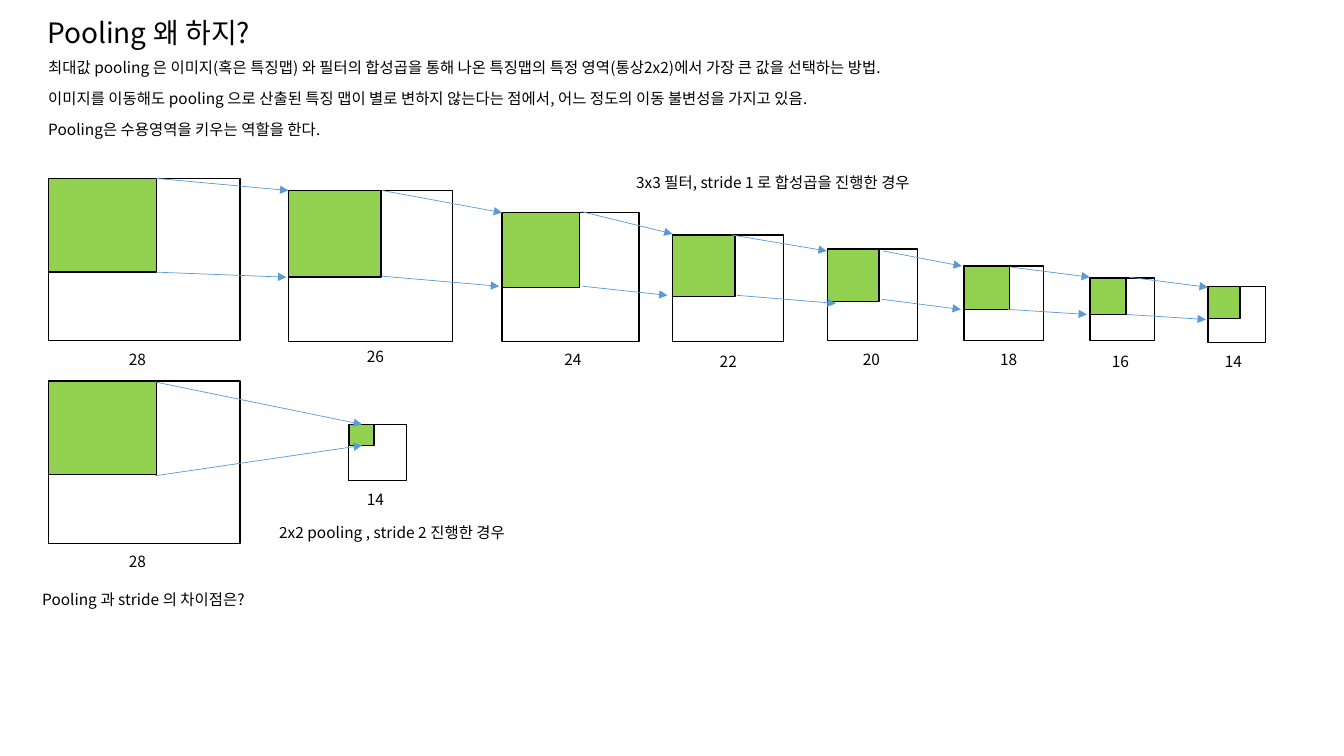
"""Build the slide that compares stacked convolutions with pooling."""
from dataclasses import dataclass
from lxml.etree import SubElement
from pptx import Presentation
from pptx.dml.color import RGBColor
from pptx.enum.shapes import MSO_CONNECTOR as CONN, MSO_SHAPE as SHAPE
from pptx.enum.text import MSO_ANCHOR as ANCHOR
from pptx.oxml.ns import qn
from pptx.util import Inches, Pt

TITLE = "Pooling 왜 하지?"
BODY = [
    "최대값 pooling 은 이미지(혹은 특징맵) 와 필터의 합성곱을 통해 나온 특징맵의 특정 영역(통상2x2)에서 가장 큰 값을 선택하는 방법.",
    "이미지를 이동해도 pooling 으로 산출된 특징 맵이 별로 변하지 않는다는 점에서, 어느 정도의 이동 불변성을 가지고 있음.",
    "Pooling은 수용영역을 키우는 역할을 한다.",
]
CONV_NOTE = "3x3 필터, stride 1 로 합성곱을 진행한 경우"
POOL_NOTE = "2x2 pooling , stride 2 진행한 경우"
QUESTION = "Pooling 과 stride 의 차이점은?"

# (label, corner, map size, region size, label position)
MAPS = [
    ("28", (0.48, 1.77), (1.9, 1.61), (1.07, 0.93), (1.18, 3.44)),
    ("26", (2.86, 1.89), (1.63, 1.5), (0.92, 0.86), (3.54, 3.41)),
    ("24", (4.98, 2.11), (1.36, 1.28), (0.77, 0.74), (5.5, 3.44)),
    ("22", (6.67, 2.33), (1.1, 1.06), (0.62, 0.61), (7.04, 3.46)),
    ("20", (8.21, 2.47), (0.89, 0.91), (0.51, 0.52), (8.46, 3.44)),
    ("18", (9.56, 2.64), (0.79, 0.74), (0.45, 0.43), (9.82, 3.44)),
    ("16", (10.81, 2.76), (0.64, 0.62), (0.36, 0.36), (10.93, 3.46)),
    ("14", (11.98, 2.84), (0.57, 0.56), (0.32, 0.32), (12.05, 3.46)),
    ("28", (0.48, 3.78), (1.9, 1.61), (1.07, 0.93), (1.18, 5.45)),
    ("14", (3.46, 4.21), (0.57, 0.56), (0.25, 0.21), (3.54, 4.83)),
]
ARROWS = [
    (1.55, 1.77, 2.86, 1.89), (1.55, 2.7, 2.84, 2.75),
    (3.79, 1.89, 4.98, 2.11), (3.79, 2.74, 4.95, 2.84),
    (5.77, 2.1, 6.67, 2.32), (5.78, 2.84, 6.62, 2.93),
    (7.25, 2.33, 8.2, 2.49), (7.31, 2.93, 8.29, 3.01),
    (8.76, 2.49, 9.54, 2.64), (8.75, 2.97, 9.53, 3.07),
    (10.03, 2.65, 10.81, 2.75), (10, 3.07, 10.78, 3.12),
    (11.2, 2.75, 11.98, 2.85), (11.18, 3.12, 11.96, 3.17),
    (1.54, 3.79, 3.59, 4.21), (1.54, 4.72, 3.59, 4.42),
]


@dataclass(frozen=True)
class Theme:
    """Colours, type sizes and line widths."""
    font: str = "Noto Sans CJK KR"
    ink: RGBColor = RGBColor(0x00, 0x00, 0x00)
    region: RGBColor = RGBColor(0x92, 0xD0, 0x50)
    arrow: RGBColor = RGBColor(0x5B, 0x9B, 0xD5)
    title: int = 20
    text: int = 11
    outline: float = 1
    arrow_line: float = 0.5


T = Theme()


def add_text(s, lines, x, y, w, h=0.29, size=T.text, before=10, anchor=ANCHOR.TOP):
    tf = s.shapes.add_textbox(*map(Inches, (x, y, w, h))).text_frame
    tf.word_wrap = True
    tf.vertical_anchor = anchor
    for i, line in enumerate(lines):
        p = tf.add_paragraph() if i else tf.paragraphs[0]
        p.line_spacing = 0.9
        p.space_before = Pt(before)
        r = p.add_run()
        r.text = line
        r.font.name = T.font
        r.font.size = Pt(size)
        r.font.color.rgb = T.ink
        SubElement(r.font._element, qn("a:ea"), typeface=T.font)


def add_box(s, corner, size, fill=None):
    sp = s.shapes.add_shape(SHAPE.RECTANGLE, *map(Inches, corner + size))
    sp.shadow.inherit = False
    if fill is None:
        sp.fill.background()
    else:
        sp.fill.solid()
        sp.fill.fore_color.rgb = fill
    sp.line.color.rgb = T.ink
    sp.line.width = Pt(T.outline)


def add_arrow(s, ends):
    c = s.shapes.add_connector(CONN.STRAIGHT, *map(Inches, ends))
    c.line.color.rgb = T.arrow
    c.line.width = Pt(T.arrow_line)
    SubElement(c.line._get_or_add_ln(), qn("a:tailEnd"), type="triangle")
    SubElement(c._element.spPr, qn("a:effectLst"))


def main():
    prs = Presentation()
    prs.slide_width, prs.slide_height = Inches(13.33), Inches(7.5)
    s = prs.slides.add_slide(prs.slide_layouts[6])
    add_text(s, [TITLE], 0.37, 0.1, 9.36, 0.48, size=T.title, before=0, anchor=ANCHOR.MIDDLE)
    add_text(s, BODY, 0.38, 0.55, 12.6, 0.95)
    for label, corner, size, region, spot in MAPS:
        add_box(s, corner, size)
        add_box(s, corner, region, fill=T.region)
        add_text(s, [label], *spot, 0.5)
    for ends in ARROWS:
        add_arrow(s, ends)
    add_text(s, [CONV_NOTE], 6.21, 1.69, 3.35)
    add_text(s, [POOL_NOTE], 2.67, 5.16, 3.01)
    add_text(s, [QUESTION], 0.32, 5.83, 12.6, 0.95)
    prs.save("out.pptx")


if __name__ == "__main__":
    main()
